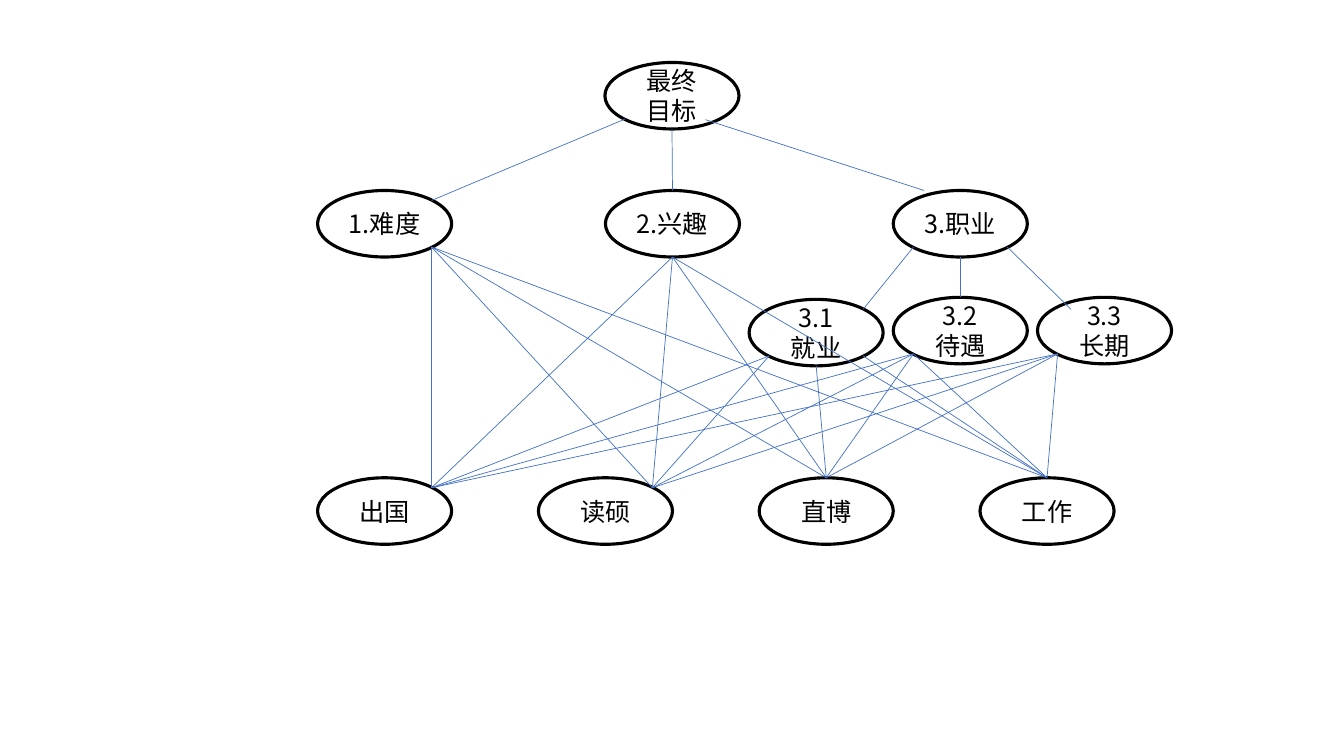
from lxml import etree
from pptx import Presentation
from pptx.dml.color import RGBColor
from pptx.enum.shapes import MSO_CONNECTOR, MSO_SHAPE
from pptx.enum.text import MSO_ANCHOR, PP_ALIGN
from pptx.oxml.ns import qn
from pptx.util import Inches, Pt

OVAL = MSO_SHAPE.OVAL
LINE = MSO_CONNECTOR.STRAIGHT
MIDDLE = MSO_ANCHOR.MIDDLE
CENTER = PP_ALIGN.CENTER
BLACK = RGBColor(0x00, 0x00, 0x00)
BLUE = RGBColor(0x44, 0x72, 0xC4)
FACE = "Noto Sans CJK SC"
WIDE, HIGH = 1.33, 0.66

TOP, LOW = (0.5, 0), (0.5, 1)
TOP_LEFT, TOP_RIGHT = (0.15, 0.15), (0.85, 0.15)
LOW_LEFT, LOW_RIGHT = (0.15, 0.85), (0.85, 0.85)
GOAL_EXIT, WORK_ENTRY, LONG_ENTRY = (0.75, 0.86), (0.23, 0), (0.25, 0.18)


def add_node(slide, text, left, top):
    """Draw one outlined oval with centred text."""
    node = slide.shapes.add_shape(
        OVAL, Inches(left), Inches(top), Inches(WIDE), Inches(HIGH))
    node.shadow.inherit = False
    node.fill.background()
    node.line.color.rgb = BLACK
    node.line.width = Pt(2.25)
    frame = node.text_frame
    frame.word_wrap = True
    frame.vertical_anchor = MIDDLE
    frame.text = text
    for para in frame.paragraphs:
        para.alignment = CENTER
        font = para.font
        font.size = Pt(18)
        font.color.rgb = BLACK
        font.name = FACE
        east = etree.SubElement(font._element, qn("a:ea"))
        east.set("typeface", FACE)
    return node


def add_row(slide, names, left, top, step):
    """Draw a row of ovals at equal steps."""
    return [add_node(slide, name, left + i * step, top)
            for i, name in enumerate(names)]


def add_link(slide, start, spot, end, goal):
    """Draw a thin line between spots given as shares of two ovals."""
    x1, y1, x2, y2 = [
        round(v) for node, (x, y) in ((start, spot), (end, goal))
        for v in (node.left + x * node.width, node.top + y * node.height)]
    link = slide.shapes.add_connector(LINE, x1, y1, x2, y2)
    link.line.color.rgb = BLUE
    link.line.width = Pt(0.5)
    etree.SubElement(link._element.spPr, qn("a:effectLst"))
    if goal == TOP:
        link.end_connect(end, 0)


def add_tree(slide):
    """Draw the goal, its criteria, the sub-criteria and the choices."""
    goal = add_node(slide, "最终目标", 6, 0.62)
    hard, like, work = add_row(
        slide, ["1.难度", "2.兴趣", "3.职业"], 3.15, 1.89, 2.855)
    job = add_node(slide, "3.1\n就业", 7.43, 2.97)
    pay, long = add_row(slide, ["3.2\n待遇", "3.3\n长期"], 8.86, 2.95, 1.43)
    picks = add_row(
        slide, ["出国", "读硕", "直博", "工作"], 3.15, 4.74, 2.19)

    for link in (
            (goal, LOW_LEFT, hard, TOP_RIGHT),
            (goal, LOW, like, TOP),
            (goal, GOAL_EXIT, work, WORK_ENTRY),
            (work, LOW_LEFT, job, TOP_RIGHT),
            (work, LOW, pay, TOP),
            (work, LOW_RIGHT, long, LONG_ENTRY)):
        add_link(slide, *link)

    entries = [TOP_RIGHT, TOP_RIGHT, TOP, TOP]
    exits = [LOW_LEFT, LOW_LEFT, LOW, LOW_RIGHT]
    for pick, entry, leave in zip(picks, entries, exits):
        for node, spot in ((hard, LOW_RIGHT), (like, LOW), (job, leave),
                           (pay, LOW_LEFT), (long, LOW_LEFT)):
            add_link(slide, node, spot, pick, entry)


def main():
    """Build and save the slide."""
    deck = Presentation()
    deck.slide_width = Inches(13.33)
    deck.slide_height = Inches(7.5)
    slide = deck.slides.add_slide(deck.slide_layouts[6])
    add_tree(slide)
    deck.save("out.pptx")


if __name__ == "__main__":
    main()
